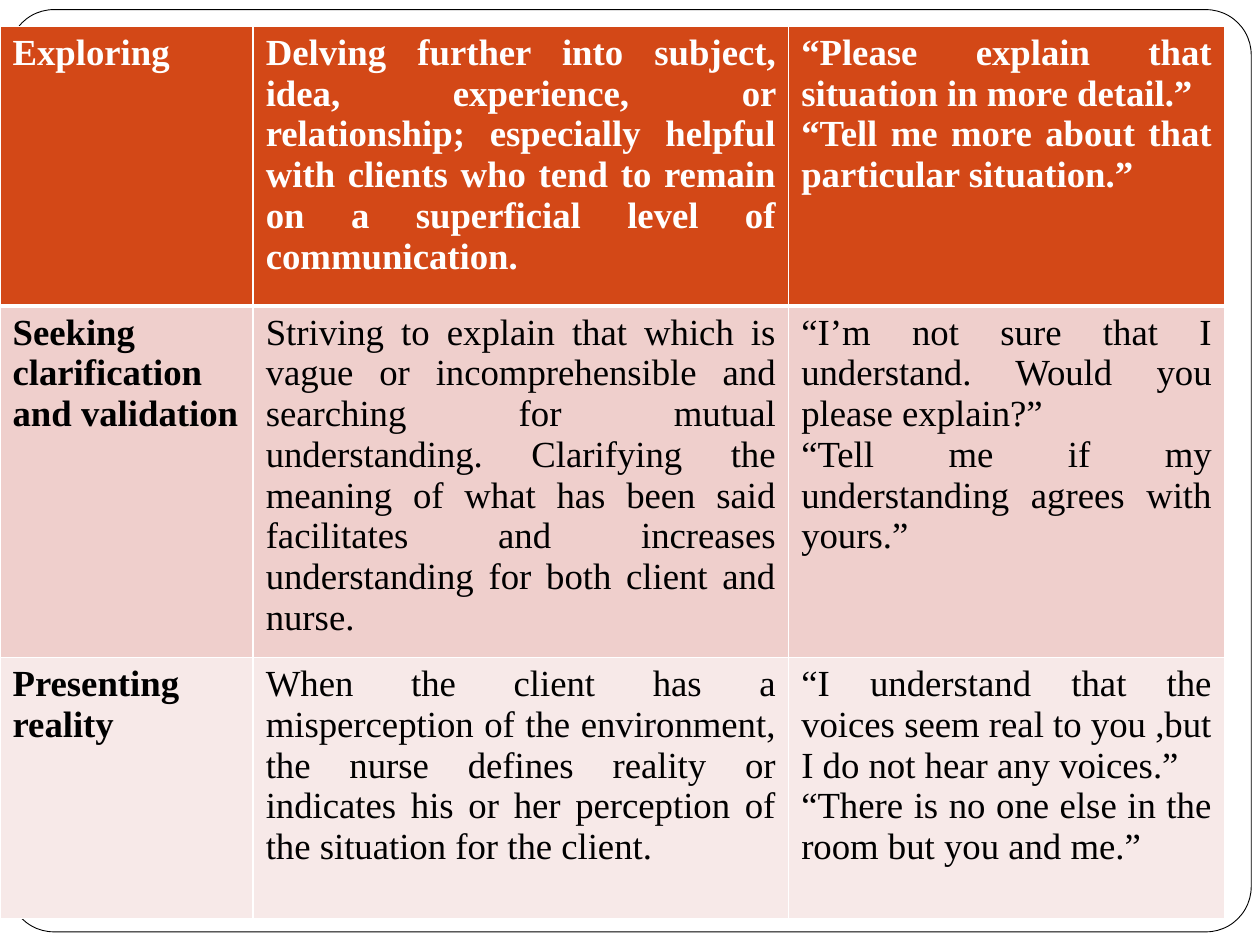
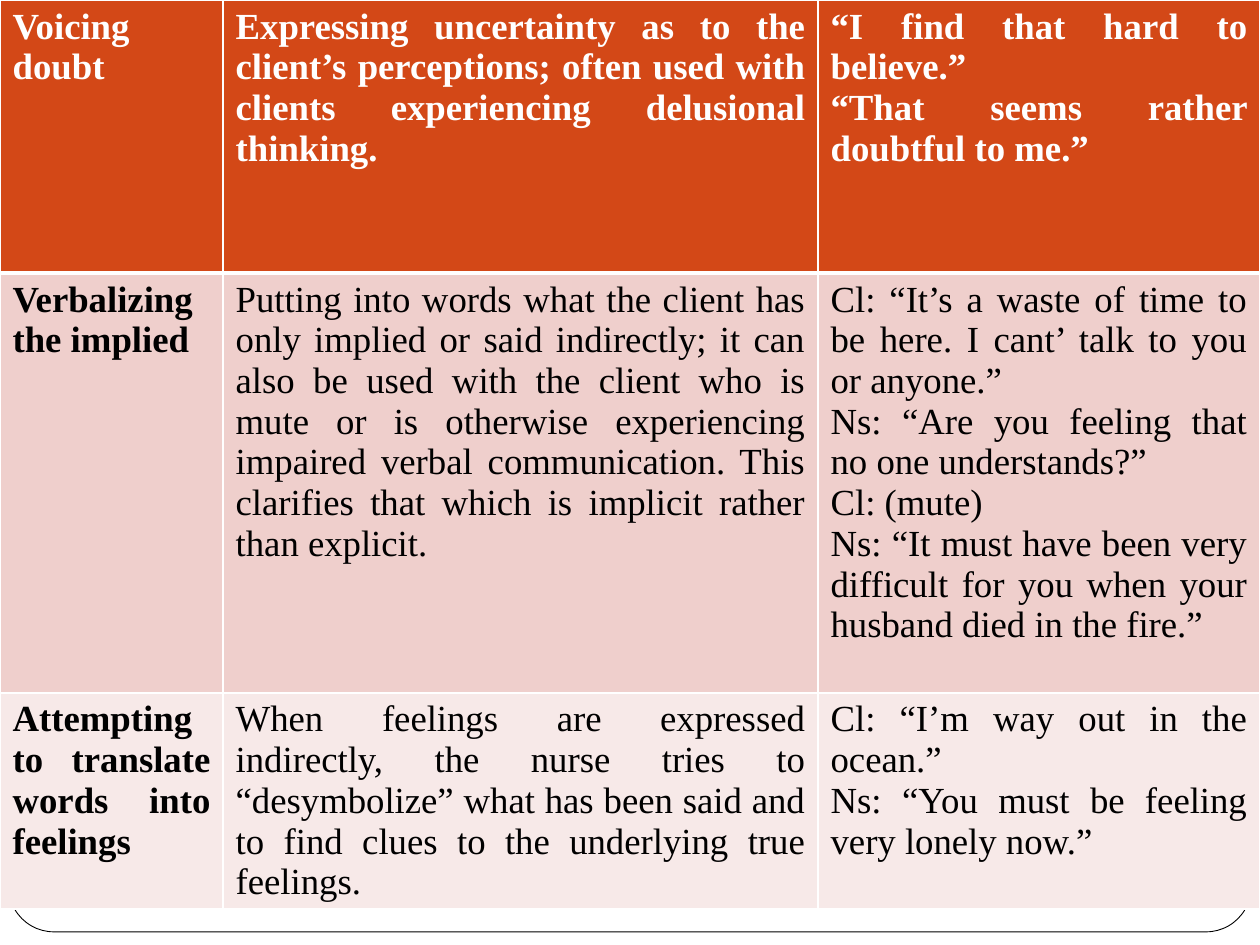
from lxml.etree import SubElement
from pptx import Presentation
from pptx.dml.color import RGBColor
from pptx.enum.shapes import MSO_SHAPE
from pptx.enum.text import PP_ALIGN
from pptx.oxml.ns import qn
from pptx.util import Pt

COLORS = {
    "white": "FFFFFF",
    "black": "000000",
    "header": "D34817",
    "dark band": "EFCFCC",
    "light band": "F7E9E8",
}
ROW_FILLS = ["header", "dark band", "light band"]
FONT_NAME = "Times New Roman"
FONT_SIZE = 21

TABLES = [
    {
        "top": 15.1,
        "columns": [144.7, 306, 249.1],
        "rows": [159.8, 200.9, 149],
        "techniques": [
            (
                ["Exploring"],
                ["Delving further into subject, idea, experience, or relationship; especially helpful "
                 "with clients who tend to remain on a superficial level of communication."],
                ["“Please explain that situation in more detail.”",
                 "“Tell me more about that particular situation.”"],
            ),
            (
                ["Seeking clarification and validation"],
                ["Striving to explain that which is vague or incomprehensible and searching for mutual "
                 "understanding. Clarifying the meaning of what has been said facilitates and increases "
                 "understanding for both client and nurse."],
                ["“I’m not sure that I understand. Would you please explain?”",
                 "“Tell me if my understanding agrees with yours.”"],
            ),
            (
                ["Presenting reality"],
                ["When the client has a misperception of the environment, the nurse defines reality or "
                 "indicates his or her perception of the situation for the client."],
                ["“I understand that the voices seem real to you ,but I do not hear any voices.”",
                 "“There is no one else in the room but you and me.”"],
            ),
        ],
    },
    {
        "top": 0,
        "columns": [127.5, 340, 252.5],
        "rows": [156, 240, 118],
        "techniques": [
            (
                ["Voicing doubt"],
                ["Expressing uncertainty as to the client’s perceptions; often used with clients "
                 "experiencing delusional thinking."],
                ["“I find that hard to believe.”",
                 "“That seems rather doubtful to me.”"],
            ),
            (
                ["Verbalizing the implied"],
                ["Putting into words what the client has only implied or said indirectly; it can also be "
                 "used with the client who is mute or is otherwise experiencing impaired verbal "
                 "communication. This clarifies that which is implicit rather than explicit."],
                ["Cl: “It’s a waste of time to be here. I cant’ talk to you or anyone.”",
                 "Ns: “Are you feeling that no one understands?”",
                 "Cl: (mute)",
                 "Ns: “It must have been very difficult for you when your husband died in the fire.”"],
            ),
            (
                ["Attempting to translate words into feelings"],
                ["When feelings are expressed indirectly, the nurse tries to “desymbolize” what has been "
                 "said and to find clues to the underlying true feelings."],
                ["Cl: “I’m way out in the ocean.”",
                 "Ns: “You must be feeling very lonely now.”"],
            ),
        ],
    },
]


def rgb(name):
    return RGBColor.from_string(COLORS[name])


def add_borders(cell, widths):
    properties = cell._tc.get_or_add_tcPr()
    for side, width in widths.items():
        line = SubElement(properties, qn(f"a:ln{side}"), w=str(Pt(width)))
        fill = SubElement(line, qn("a:solidFill"))
        SubElement(fill, qn("a:srgbClr"), val=COLORS["white"])


presentation = Presentation()
presentation.slide_width = Pt(720)
presentation.slide_height = Pt(540)
blank_layout = presentation.slide_layouts[6]

for content in TABLES:
    slide = presentation.slides.add_slide(blank_layout)

    frame = slide.shapes.add_shape(MSO_SHAPE.ROUNDED_RECTANGLE, Pt(5), Pt(5.5), Pt(710), Pt(527))
    frame.adjustments[0] = 0.049
    frame.shadow.inherit = False
    frame.fill.solid()
    frame.fill.fore_color.rgb = rgb("white")
    frame.line.color.rgb = rgb("black")
    frame.line.width = Pt(0.5)

    columns, rows = content["columns"], content["rows"]
    table = slide.shapes.add_table(
        len(rows), len(columns), Pt(0), Pt(content["top"]), Pt(sum(columns)), Pt(sum(rows))
    ).table
    for column, width in zip(table.columns, columns):
        column.width = Pt(width)
    for row, height in zip(table.rows, rows):
        row.height = Pt(height)

    for row_index, technique in enumerate(content["techniques"]):
        is_header = row_index == 0
        for column_index, lines in enumerate(technique):
            cell = table.cell(row_index, column_index)
            add_borders(cell, {"L": 1, "R": 1, "T": 3 if row_index == 1 else 1, "B": 3 if is_header else 1})
            cell.fill.solid()
            cell.fill.fore_color.rgb = rgb(ROW_FILLS[row_index])
            cell.text = "\n".join(lines)
            for paragraph in cell.text_frame.paragraphs:
                paragraph.alignment = PP_ALIGN.JUSTIFY
                paragraph.font.name = FONT_NAME
                paragraph.font.size = Pt(FONT_SIZE)
                paragraph.font.bold = is_header or column_index == 0
                paragraph.font.color.rgb = rgb("white" if is_header else "black")

presentation.save("out.pptx")
